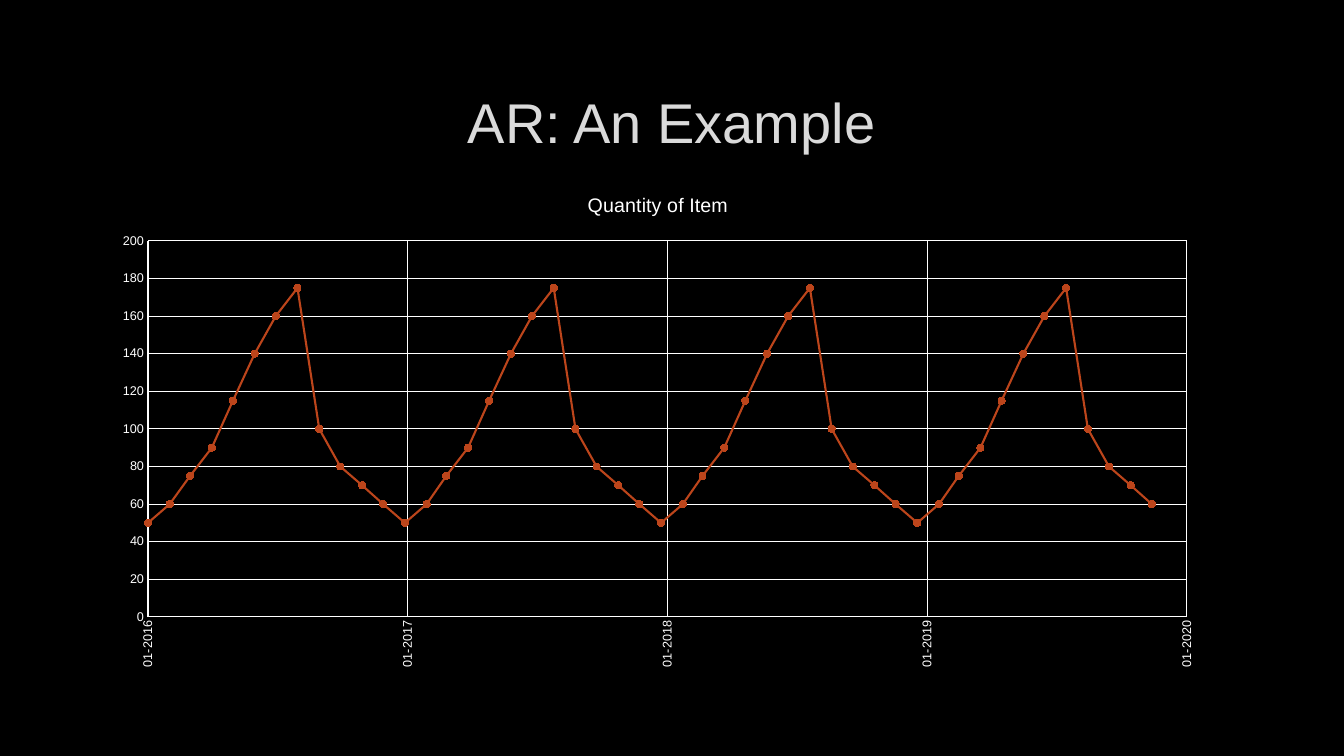
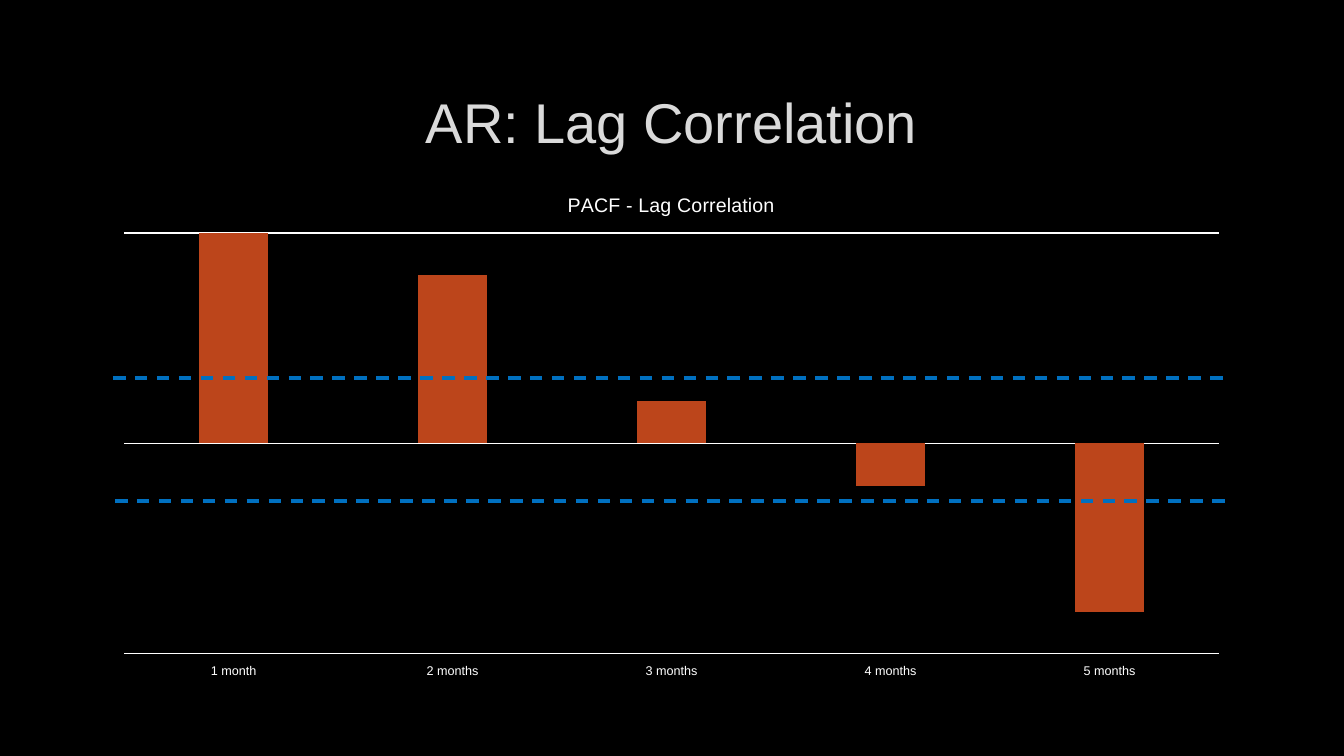
from dataclasses import dataclass
from itertools import accumulate

from pptx import Presentation
from pptx.chart.data import CategoryChartData as CatData, XyChartData as XyData
from pptx.dml.color import RGBColor as Rgb
from pptx.enum.chart import XL_CHART_TYPE as Kind, XL_MARKER_STYLE as Mark
from pptx.enum.chart import XL_TICK_LABEL_POSITION as Spot, XL_TICK_MARK as Tick
from pptx.enum.dml import MSO_LINE as Dash
from pptx.enum.shapes import MSO_CONNECTOR as Link
from pptx.enum.text import MSO_ANCHOR as Anchor, PP_ALIGN as Align
from pptx.oxml import parse_xml
from pptx.oxml.ns import nsdecls, qn
from pptx.util import Emu, Pt

WIDE, HIGH = 1344, 756
UNIT = 12192000 / WIDE


def px(n):
    return Emu(round(n * UNIT))


@dataclass(frozen=True)
class Theme:
    font: str = "Arial"
    back: Rgb = Rgb(0, 0, 0)
    head: Rgb = Rgb(0xDA, 0xDA, 0xDA)
    edge: str = "404040"
    text: Rgb = Rgb(0xFF, 0xFF, 0xFF)
    data: Rgb = Rgb(0xBC, 0x45, 0x1B)
    bound: Rgb = Rgb(0x00, 0x70, 0xC0)
    head_size: int = 40
    name_size: int = 14
    base_size: int = 10
    axis_size: int = 9
    thin: float = 0.75
    curve: float = 1.5
    thick: float = 2.25


class Deck:
    def __init__(self, theme):
        self.theme = theme
        self.prs = Presentation()
        self.prs.slide_width, self.prs.slide_height = px(WIDE), px(HIGH)
        fill = self.prs.slide_master.background.fill
        fill.solid()
        fill.fore_color.rgb = theme.back
        self.slide = None

    def style(self, font, size, color):
        font.name, font.size, font.bold = self.theme.font, Pt(size), False
        font.color.rgb = color

    def stroke(self, line, color, width):
        line.color.rgb, line.width = color, Pt(width)

    def page(self, title):
        t = self.theme
        self.slide = self.prs.slides.add_slide(self.prs.slide_layouts[6])
        frame = self.slide.shapes.add_textbox(
            px(101), px(68), px(1141), px(107)).text_frame
        frame.word_wrap, frame.vertical_anchor = True, Anchor.MIDDLE
        para = frame.paragraphs[0]
        para.alignment = Align.CENTER
        run = para.add_run()
        run.text = title
        self.style(run.font, t.head_size, t.head)
        run.font._element.insert(0, parse_xml(
            f'<a:ln {nsdecls("a")} w="{Pt(t.thin)}"><a:solidFill>'
            f'<a:srgbClr val="{t.edge}"><a:alpha val="10000"/></a:srgbClr>'
            '</a:solidFill></a:ln>'))

    def place(self, node, spot, **parts):
        """Give a chart part a fixed layout, in fractions of the chart."""
        for old in node.findall(qn("c:layout")):
            node.remove(old)
        modes = "".join(f'<c:{k}Mode val="edge"/>' for k in "xy")
        sizes = "".join(f'<c:{k} val="{v:.4f}"/>' for k, v in parts.items())
        inner = '<c:layoutTarget val="inner"/>' if "w" in parts else ""
        node.insert(spot, parse_xml(
            f'<c:layout {nsdecls("c")}><c:manualLayout>{inner}{modes}{sizes}'
            '</c:manualLayout></c:layout>'))

    def chart(self, kind, data, name, box, plot, name_at):
        """Add a chart; box, plot and name_at are in slide px."""
        t = self.theme
        left, top, wide, high = box
        chart = self.slide.shapes.add_chart(kind, *map(px, box), data).chart
        self.style(chart.font, t.base_size, t.text)
        chart.has_legend = False
        chart.has_title = True
        title = chart.chart_title
        title.include_in_layout = False
        run = title.text_frame.paragraphs[0].add_run()
        run.text = name
        self.style(run.font, t.name_size, t.text)
        self.place(title._element, 1,
                   x=(name_at[0] - left) / wide, y=(name_at[1] - top) / high)
        x, y, w, h = plot
        self.place(chart._chartSpace.chart.plotArea, 0, x=(x - left) / wide,
                   y=(y - top) / high, w=w / wide, h=h / high)
        chart.plots[0].vary_by_categories = False
        return chart

    def axis(self, axis, grid, span=None):
        """Style an axis; span is its low end, high end and step."""
        t = self.theme
        axis.major_tick_mark = axis.minor_tick_mark = Tick.NONE
        self.style(axis.tick_labels.font, t.axis_size, t.text)
        self.stroke(axis.format.line, t.text, t.thin)
        axis.has_major_gridlines = grid
        if grid:
            self.stroke(axis.major_gridlines.format.line, t.text, t.thin)
        if span:
            axis.minimum_scale, axis.maximum_scale, axis.major_unit = span

    def curve(self, name, points, box, plot, name_at, spans):
        """Add a line through dated points."""
        t = self.theme
        data = XyData()
        line = data.add_series("Series 1")
        for x, y in points:
            line.add_data_point(x, y)
        chart = self.chart(Kind.XY_SCATTER_LINES, data, name, box, plot, name_at)
        dates = chart.category_axis
        for axis, span in zip((dates, chart.value_axis), spans):
            self.axis(axis, True, span)
        dates.tick_labels.number_format = "mm-yyyy"
        dates.tick_labels.number_format_is_linked = False
        dates._element.find(qn("c:txPr")).find(qn("a:bodyPr")).set(
            "rot", "-5400000")
        series = chart.plots[0].series[0]
        series.smooth = False
        self.stroke(series.format.line, t.data, t.curve)
        mark = series.marker
        mark.style, mark.size = Mark.CIRCLE, 5
        mark.format.fill.solid()
        mark.format.fill.fore_color.rgb = t.data
        self.stroke(mark.format.line, t.data, t.thin)

    def bars(self, name, cats, vals, box, plot, name_at, span):
        data = CatData()
        data.categories = cats
        data.add_series("Series 1", vals)
        chart = self.chart(Kind.COLUMN_CLUSTERED, data, name, box, plot, name_at)
        self.axis(chart.category_axis, False)
        chart.category_axis.tick_label_position = Spot.LOW
        self.axis(chart.value_axis, True, span)
        chart.value_axis.visible = False
        group = chart.plots[0]
        group.gap_width, group.overlap = 219, -27
        series = group.series[0]
        series.invert_if_negative = False
        series.format.fill.solid()
        series.format.fill.fore_color.rgb = self.theme.data

    def bound(self, left, y, wide):
        """Add a dashed level line."""
        line = self.slide.shapes.add_connector(
            Link.STRAIGHT, px(left), px(y), px(left + wide), px(y))
        self.stroke(line.line, self.theme.bound, self.theme.thick)
        line.line.dash_style = Dash.DASH
        line._element.spPr.append(parse_xml(f'<a:effectLst {nsdecls("a")}/>'))


def months(first, years):
    """Day numbers of the month starts in the given years."""
    days = [29 if m == 2 and y % 4 == 0 else 28 if m == 2
            else 30 if m in (4, 6, 9, 11) else 31
            for y in years for m in range(1, 13)]
    return list(accumulate(days[:-1], initial=first))


def main():
    deck = Deck(Theme())

    deck.page("AR: An Example")
    start, years = 42370, range(2016, 2020)
    cycle = [50, 60, 75, 90, 115, 140, 160, 175, 100, 80, 70, 60]
    deck.curve("Quantity of Item",
               zip(months(start, years), cycle * len(years)),
               (101, 174, 1116, 503), (148, 241, 1039, 376), (584, 189),
               [(start, start + 4 * 370, 370), (0, 200, 20)])

    deck.page("AR: Lag Correlation")
    cats = ["1 month"] + [f"{n} months" for n in range(2, 6)]
    deck.bars("PACF - Lag Correlation", cats, [100, 80, 20, -20, -80],
              (101, 174, 1141, 514), (124, 233, 1095, 421), (564, 189),
              (-100, 100, 100))
    for left, y in (113, 378), (115, 501):
        deck.bound(left, y, 1113)

    deck.prs.save("out.pptx")


if __name__ == "__main__":
    main()
